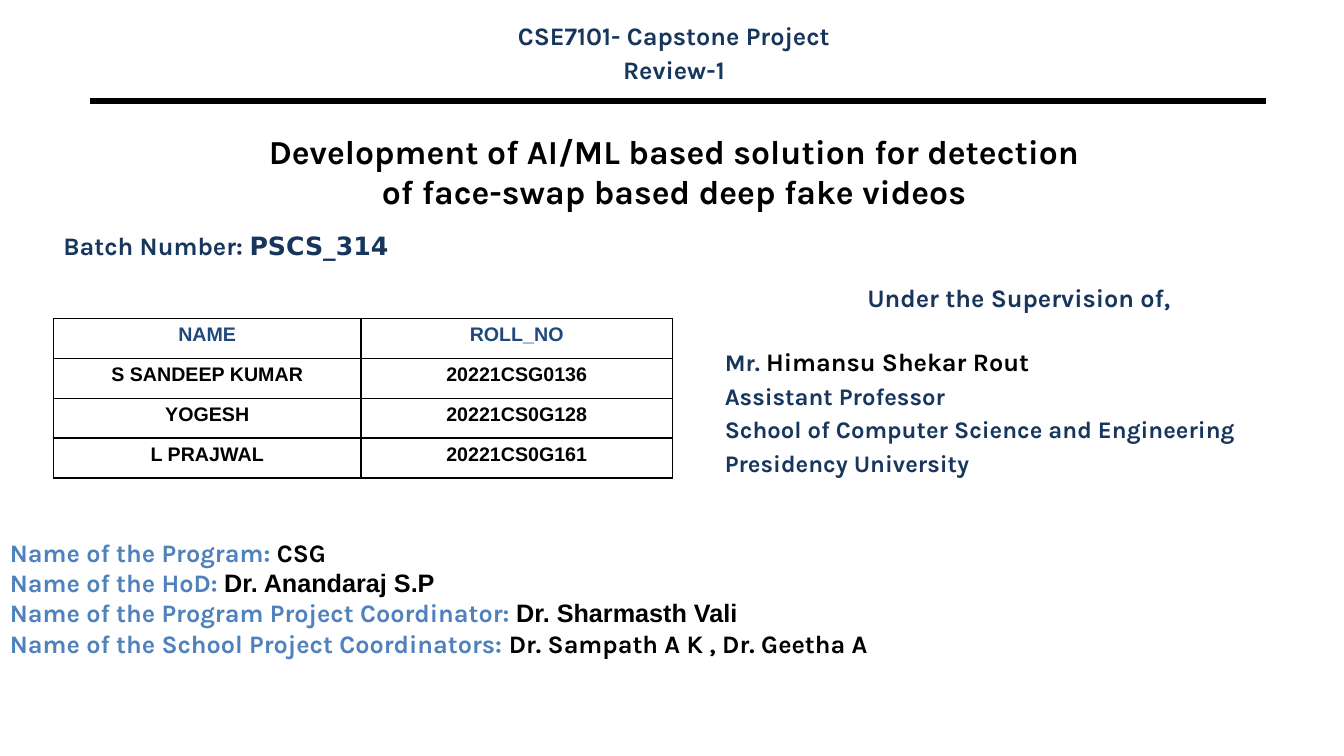
from dataclasses import dataclass

from lxml import etree
from pptx import Presentation
from pptx import util as u
from pptx.dml.color import RGBColor
from pptx.enum import shapes, text
from pptx.oxml import ns

SLIDE_WIDTH, SLIDE_HEIGHT = u.Inches(13.33), u.Inches(7.5)
BLACK, NAVY, BLUE, HEADER_BLUE = "000000", "17365D", "4F81BD", "1F497D"
LEFT, CENTER = text.PP_ALIGN.LEFT, text.PP_ALIGN.CENTER


@dataclass
class Span:
    wording: str
    colour: str = NAVY
    size: float = 18
    font: str = "Karla"


@dataclass
class Line:
    spans: list[Span]
    align: text.PP_ALIGN = LEFT
    space_before: float = 0


@dataclass
class TextBlock:
    """Position and size are percentages of the slide."""
    left: float
    top: float
    width: float
    height: float
    lines: list[Line]
    anchor: text.MSO_ANCHOR = text.MSO_ANCHOR.TOP


def across(percent: float) -> int:
    return round(SLIDE_WIDTH * percent / 100)


def down(percent: float) -> int:
    return round(SLIDE_HEIGHT * percent / 100)


def colour_of(hex_code: str) -> RGBColor:
    return RGBColor.from_string(hex_code)


def write_line(paragraph, line: Line) -> None:
    paragraph.alignment = line.align
    paragraph.space_before = u.Pt(line.space_before)
    for span in line.spans:
        paragraph.add_run().text = span.wording
    for run, span in zip(paragraph.runs, line.spans):
        run.font.name = span.font
        run.font.size = u.Pt(span.size)
        run.font.bold = True
        run.font.color.rgb = colour_of(span.colour)


def draw_text(slide, block: TextBlock) -> None:
    shape = slide.shapes.add_textbox(across(block.left), down(block.top),
                                     across(block.width), down(block.height))
    frame = shape.text_frame
    frame.word_wrap = True
    frame.vertical_anchor = block.anchor
    for index, line in enumerate(block.lines):
        paragraph = frame.add_paragraph() if index else frame.paragraphs[0]
        write_line(paragraph, line)


def draw_rule(slide, start: float, end: float, top: float) -> None:
    rule = slide.shapes.add_connector(shapes.MSO_CONNECTOR.STRAIGHT, across(start),
                                      down(top), across(end), down(top))
    rule.line.color.rgb = colour_of(BLACK)
    rule.line.width = u.Pt(4.5)
    etree.SubElement(rule._element.spPr, ns.qn("a:effectLst"))


def add_borders(cell) -> None:
    properties = cell._tc.get_or_add_tcPr()
    for position, side in enumerate(("lnL", "lnR", "lnT", "lnB")):
        border = etree.Element(ns.qn(f"a:{side}"), w=str(u.Pt(1.5)))
        fill = etree.SubElement(border, ns.qn("a:solidFill"))
        etree.SubElement(fill, ns.qn("a:srgbClr"), val=BLACK)
        properties.insert(position, border)


def draw_table(slide, left: float, top: float, columns: list[float],
               row_height: float, rows: list[tuple[str, str]]) -> None:
    frame = slide.shapes.add_table(len(rows), len(columns), across(left), down(top),
                                   across(sum(columns)), down(row_height * len(rows)))
    table = frame.table
    for column, width in zip(table.columns, columns):
        column.width = across(width)
    for row_index, row in enumerate(rows):
        table.rows[row_index].height = down(row_height)
        for column_index, wording in enumerate(row):
            cell = table.cell(row_index, column_index)
            cell.fill.background()
            colour = BLACK if row_index else HEADER_BLUE
            write_line(cell.text_frame.paragraphs[0],
                       Line([Span(wording, colour, 14, "Arial")], CENTER))
            add_borders(cell)


# Content
TITLE = [Line([Span(wording, BLACK, 24)], CENTER) for wording in (
    "Development of AI/ML based solution for detection",
    "of face-swap based deep fake videos")]

BATCH = [Line([Span("Batch Number: "), Span("PSCS_314", font="DejaVu Sans")])]

SUPERVISION = [
    Line([Span("Under the Supervision of,")], CENTER),
    Line([Span("Mr. ", size=17), Span("Himansu Shekar Rout", BLACK)], space_before=24.5),
] + [Line([Span(wording, size=17)], space_before=3.4) for wording in (
    "Assistant Professor",
    "School of Computer Science and Engineering",
    "Presidency University")]

COURSE = [Line([Span("CSE7101- Capstone Project")], CENTER),
          Line([Span("Review-1")], CENTER, 3.1)]

PROGRAM = [Line([Span(f"Name of the {role}: ", BLUE), Span(name, BLACK, font=font)])
           for role, name, font in (
               ("Program", "CSG", "Karla"),
               ("HoD", "Dr. Anandaraj S.P", "Arial"),
               ("Program Project Coordinator", "Dr. Sharmasth Vali", "Arial"),
               ("School Project Coordinators", "Dr. Sampath A K , Dr. Geetha A", "Karla"))]

BLOCKS = [
    TextBlock(11.85, 15.6, 76.59, 14, TITLE, text.MSO_ANCHOR.MIDDLE),
    TextBlock(3.98, 29.87, 30.83, 8, BATCH),
    TextBlock(53.19, 36.67, 45.24, 29.47, SUPERVISION),
    TextBlock(11.85, 2, 76.59, 10.67, COURSE),
    TextBlock(0, 70.4, 100, 18.53, PROGRAM),
]

STUDENTS = [("NAME", "ROLL_NO"),
            ("S SANDEEP KUMAR", "20221CSG0136"),
            ("YOGESH", "20221CS0G128"),
            ("L PRAJWAL", "20221CS0G161")]


def main() -> None:
    presentation = Presentation()
    presentation.slide_width, presentation.slide_height = SLIDE_WIDTH, SLIDE_HEIGHT
    slide = presentation.slides.add_slide(presentation.slide_layouts[6])

    # Header rule, text blocks and student table
    draw_rule(slide, 6.68, 94.22, 13.33)
    for block in BLOCKS:
        draw_text(slide, block)
    draw_table(slide, 3.98, 42.13, [22.88, 23.18], 5.29, STUDENTS)

    presentation.save("out.pptx")


if __name__ == "__main__":
    main()
